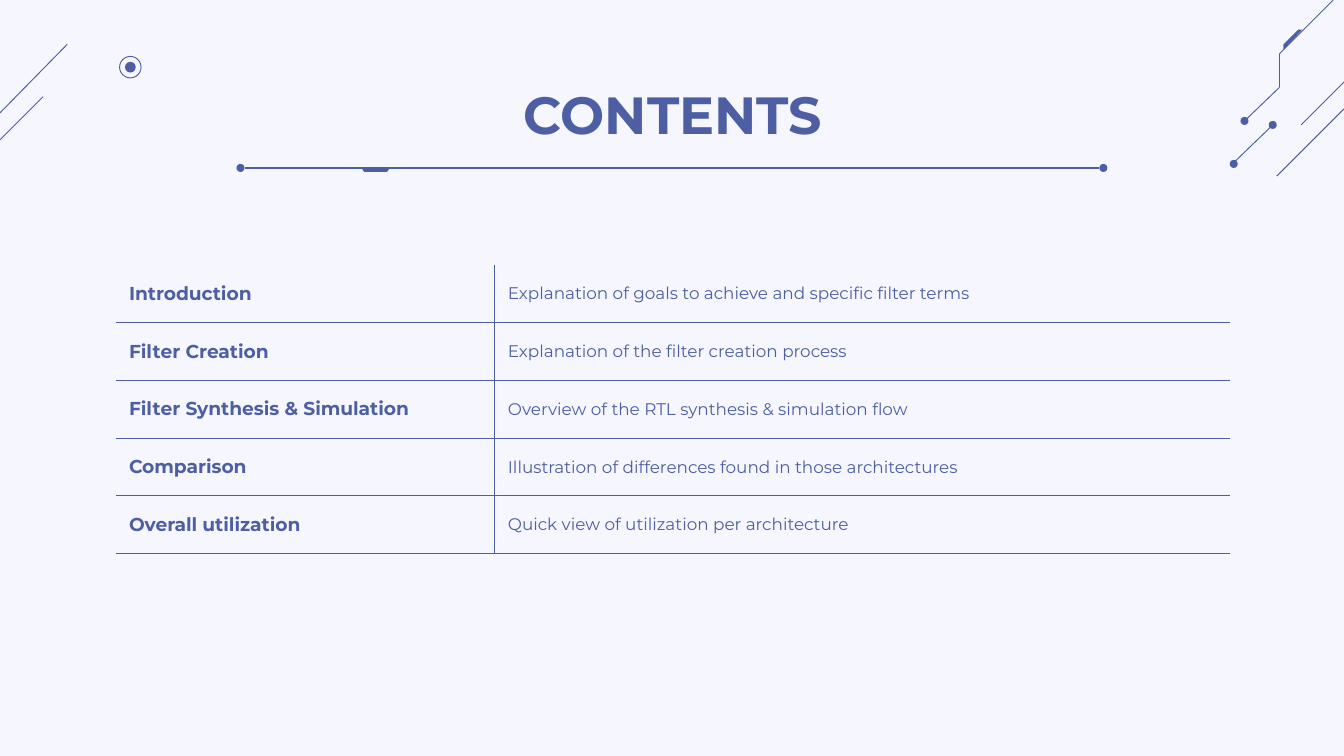
import pptx
import pptx.dml.color
import pptx.enum.shapes
import pptx.enum.text
import pptx.oxml.ns
import pptx.util
from lxml import etree
from pptx.util import Inches

COLORS = {"background": "F6F6FF", "indigo": "4E5EA3"}
FONT = "Montserrat"
RULE_WIDTH = pptx.util.Pt(0.75)
TRACE_WIDTH = pptx.util.Pt(0.5)
indigo = pptx.dml.color.RGBColor.from_string(COLORS["indigo"])
qn = pptx.oxml.ns.qn

# Widescreen 16:9 slide
presentation = pptx.Presentation()
presentation.slide_width = Inches(10)
presentation.slide_height = Inches(10 * 9 / 16)
slide = presentation.slides.add_slide(presentation.slide_layouts[5])
slide.background.fill.solid()
slide.background.fill.fore_color.rgb = pptx.dml.color.RGBColor.from_string(COLORS["background"])


def add_run(paragraph, text, size, bold):
    run = paragraph.add_run()
    run.text = text
    run.font.name = FONT
    run.font.size = pptx.util.Pt(size)
    run.font.bold = bold
    run.font.color.rgb = indigo


def add_circle(center_x, center_y, diameter, filled=True):
    circle = slide.shapes.add_shape(
        pptx.enum.shapes.MSO_SHAPE.OVAL,
        Inches(center_x - diameter / 2), Inches(center_y - diameter / 2),
        Inches(diameter), Inches(diameter))
    circle.shadow.inherit = False
    if filled:
        circle.fill.solid()
        circle.fill.fore_color.rgb = indigo
        circle.line.fill.background()
    else:
        circle.fill.background()
        circle.line.color.rgb = indigo
        circle.line.width = TRACE_WIDTH


# Lines: corner diagonals, circuit trace, title rule
lines = [
    (9.68, 0.93, 10, 0.61, TRACE_WIDTH), (9.5, 1.31, 10, 0.81, TRACE_WIDTH),
    (9.17, 1.22, 9.47, 0.93, TRACE_WIDTH), (9.26, 0.9, 9.52, 0.65, TRACE_WIDTH),
    (9.52, 0.65, 9.52, 0.4, TRACE_WIDTH), (9.52, 0.4, 9.92, 0, TRACE_WIDTH),
    (0, 0.84, 0.5, 0.33, TRACE_WIDTH), (0, 1.04, 0.32, 0.72, TRACE_WIDTH),
    (8.18, 1.25, 1.82, 1.25, RULE_WIDTH),
]
for start_x, start_y, end_x, end_y, width in lines:
    connector = slide.shapes.add_connector(
        pptx.enum.shapes.MSO_CONNECTOR.STRAIGHT,
        Inches(start_x), Inches(start_y), Inches(end_x), Inches(end_y))
    connector.line.color.rgb = indigo
    connector.line.width = width
    etree.SubElement(connector._element.spPr, qn("a:effectLst"))

# Dots at the line ends, and the ring with its centre
for center_x, center_y in [(9.47, 0.93), (9.18, 1.22), (9.26, 0.9), (1.79, 1.25), (8.21, 1.25)]:
    add_circle(center_x, center_y, 0.06)
add_circle(0.97, 0.5, 0.16, filled=False)
add_circle(0.97, 0.5, 0.08)

# Thick tabs on the trace and the title rule
tabs = [
    [(9.55, 0.37), (9.69, 0.22), (9.66, 0.22), (9.55, 0.33)],
    [(2.69, 1.25), (2.9, 1.25), (2.88, 1.28), (2.71, 1.28)],
]
for tab in tabs:
    points = [(Inches(x), Inches(y)) for x, y in tab]
    builder = slide.shapes.build_freeform(*points[0])
    builder.add_line_segments(points[1:], close=True)
    shape = builder.convert_to_shape()
    shape.shadow.inherit = False
    shape.fill.solid()
    shape.fill.fore_color.rgb = indigo
    shape.line.fill.background()

# Title
title = slide.shapes.title
title.left, title.top, title.width, title.height = (
    Inches(0.86), Inches(0.61), Inches(8.29), Inches(0.57))
frame = title.text_frame
frame.margin_top = frame.margin_bottom = 0
frame.vertical_anchor = pptx.enum.text.MSO_ANCHOR.TOP
frame.paragraphs[0].alignment = pptx.enum.text.PP_ALIGN.CENTER
add_run(frame.paragraphs[0], "CONTENTS", 28, True)

# Contents table
contents = [
    ("Introduction", "Explanation of goals to achieve and specific filter terms"),
    ("Filter Creation", "Explanation of the filter creation process"),
    ("Filter Synthesis & Simulation", "Overview of the RTL synthesis & simulation flow"),
    ("Comparison", "Illustration of differences found in those architectures"),
    ("Overall utilization", "Quick view of utilization per architecture"),
]
table = slide.shapes.add_table(
    len(contents), 2, Inches(0.86), Inches(1.97), Inches(8.29), Inches(2.15)).table
table.first_row = False
table.horz_banding = False
table.columns[0].width = Inches(2.82)
table.columns[1].width = Inches(5.47)

for row, texts in enumerate(contents):
    table.rows[row].height = Inches(0.43)
    for column, text in enumerate(texts):
        cell = table.cell(row, column)
        cell.margin_left = cell.margin_right = Inches(0.1)
        cell.margin_top = cell.margin_bottom = 0
        cell.vertical_anchor = pptx.enum.text.MSO_ANCHOR.MIDDLE
        add_run(cell.text_frame.paragraphs[0], text, 10 if column == 0 else 9, column == 0)

        # Only the inner column line and the row bottoms are drawn
        borders = {"lnL": column == 1, "lnR": column == 0, "lnT": row > 0, "lnB": True}
        properties = cell._tc.get_or_add_tcPr()
        for tag, visible in borders.items():
            border = etree.SubElement(properties, qn(f"a:{tag}"), w=str(int(RULE_WIDTH)))
            if visible:
                fill = etree.SubElement(border, qn("a:solidFill"))
                etree.SubElement(fill, qn("a:srgbClr"), val=COLORS["indigo"])
            else:
                etree.SubElement(border, qn("a:noFill"))
        cell.fill.background()

presentation.save("out.pptx")
